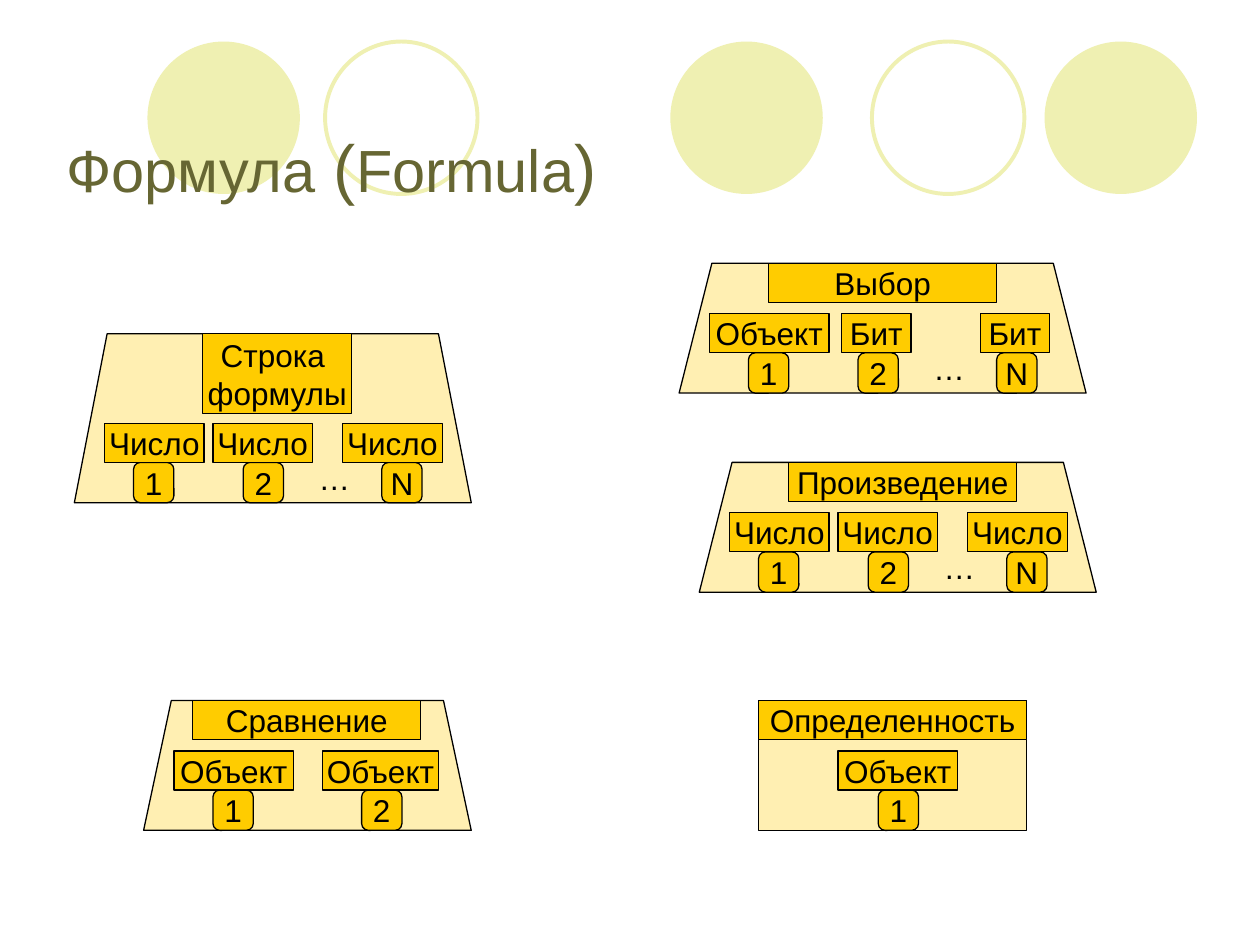
from dataclasses import dataclass

from lxml import etree
from pptx import Presentation
from pptx import util as u
from pptx.dml import color
from pptx.enum import shapes, text
from pptx.oxml import ns

GOLD, BLACK, PALE, OLIVE = "FFCC00", "000000", "EFF0B2", "666633"
KIND = shapes.MSO_SHAPE
LEFT, MID = text.PP_ALIGN.LEFT, text.PP_ALIGN.CENTER
ROW, SIDE = 0.31, 0.32


@dataclass
class Port:
    label: str
    mark: str
    left: float
    width: float
    tab: float


@dataclass
class Block:
    title: str
    left: float
    top: float
    width: float
    height: float
    slant: float
    head: tuple[float, float, float]
    ports: list[Port]


def paint(form, code: str) -> None:
    form.rgb = color.RGBColor.from_string(code)


def write(shape, lines, size=18, ink=BLACK, align=MID, wrap=False,
          anchor=text.MSO_ANCHOR.MIDDLE) -> None:
    frame = shape.text_frame
    frame.word_wrap = wrap
    frame.vertical_anchor = anchor
    for num, line in enumerate(lines):
        para = frame.add_paragraph() if num else frame.paragraphs[0]
        para.alignment = align
        for part in [line] if isinstance(line, str) else line:
            words, points = (part, size) if isinstance(part, str) else part
            run = para.add_run()
            run.text = words
            run.font.name = "Arial"
            run.font.size = u.Pt(points)
            paint(run.font.color, ink)


def place(left: float, top: float, width: float, height: float) -> list:
    return [u.Inches(val) for val in (left, top, width, height)]


def draw(slide, kind, area: tuple, fill=GOLD, line=BLACK, weight=0.75):
    shape = slide.shapes.add_shape(kind, *place(*area))
    shape.shadow.inherit = False
    if fill:
        shape.fill.solid()
        paint(shape.fill.fore_color, fill)
    else:
        shape.fill.background()
    if line:
        paint(shape.line.color, line)
        shape.line.width = u.Pt(weight)
    else:
        shape.line.fill.background()
    return shape


def fade(shape, share: int) -> None:
    tone = shape.fill._xPr.find(ns.qn("a:solidFill"))[0]
    etree.SubElement(tone, ns.qn("a:alpha")).set("val", str(share * 1000))


def add_port(slide, block: Block, port: Port) -> None:
    base = block.top + block.height
    tab = block.left + port.tab
    mark = draw(slide, KIND.ROUNDED_RECTANGLE, (tab, base - SIDE, SIDE, SIDE))
    mark.adjustments[0] = 0.17
    write(mark, [port.mark])
    area = (block.left + port.left, base - SIDE - ROW, port.width, ROW)
    write(draw(slide, KIND.RECTANGLE, area), [port.label])
    if port.mark == "N":
        dots = slide.shapes.add_textbox(*place(tab - 0.6, base - 0.4, 0.45, 0.4))
        write(dots, ["…"], align=LEFT, anchor=text.MSO_ANCHOR.TOP)


def add_block(slide, block: Block) -> None:
    area = (block.left, block.top, block.width, block.height)
    body = draw(slide, KIND.TRAPEZOID if block.slant else KIND.RECTANGLE, area)
    if block.slant:
        body.adjustments[0] = block.slant / min(block.width, block.height)
    fade(body, 30)
    left, width, height = block.head
    head = draw(slide, KIND.RECTANGLE, (block.left + left, block.top, width, height))
    write(head, block.title.split("\n"))
    for port in block.ports:
        add_port(slide, block, port)


NUMS = [Port("Число", "1", 0.24, 0.79, 0.47), Port("Число", "2", 1.1, 0.79, 1.34),
        Port("Число", "N", 2.13, 0.79, 2.44)]
BITS = [Port("Объект", "1", 0.24, 0.95, 0.55), Port("Бит", "2", 1.29, 0.55, 1.42),
        Port("Бит", "N", 2.39, 0.55, 2.52)]
PAIR = [Port("Объект", "1", 0.24, 0.95, 0.55), Port("Объект", "2", 1.42, 0.92, 1.73)]
ONE = [Port("Объект", "1", 0.63, 0.95, 0.95)]

BLOCKS = [
    Block("Строка \nформулы", 0.59, 2.65, 3.15, 1.34, 0.26, (1.02, 1.18, 0.63), NUMS),
    Block("Произведение", 5.55, 3.67, 3.15, 1.03, 0.26, (0.71, 1.81, ROW), NUMS),
    Block("Выбор", 5.39, 2.09, 3.23, 1.03, 0.26, (0.71, 1.81, ROW), BITS),
    Block("Сравнение", 1.14, 5.56, 2.6, 1.03, 0.22, (0.39, 1.81, ROW), PAIR),
    Block("Определенность", 6.02, 5.56, 2.13, 1.03, 0, (0, 2.13, ROW), ONE),
]


def main() -> None:
    deck = Presentation()
    deck.slide_width, deck.slide_height = u.Inches(10), u.Inches(7.5)
    slide = deck.slides.add_slide(deck.slide_layouts[6])
    for left in (1.17, 5.32, 8.29):
        draw(slide, KIND.OVAL, (left, 0.33, 1.21, 1.21), fill=PALE, line=None)
    for left in (2.58, 6.92):
        draw(slide, KIND.OVAL, (left, 0.33, 1.21, 1.21), fill=None, line=PALE, weight=2.25)
    for block in BLOCKS:
        add_block(slide, block)
    title = slide.shapes.add_textbox(*place(0.43, 0.69, 4.41, 1.25))
    parts = ["Формула", (" (", 38), "Formula", (")", 38)]
    write(title, [parts], size=34, ink=OLIVE, align=LEFT, wrap=True)
    deck.save("out.pptx")


if __name__ == "__main__":
    main()
